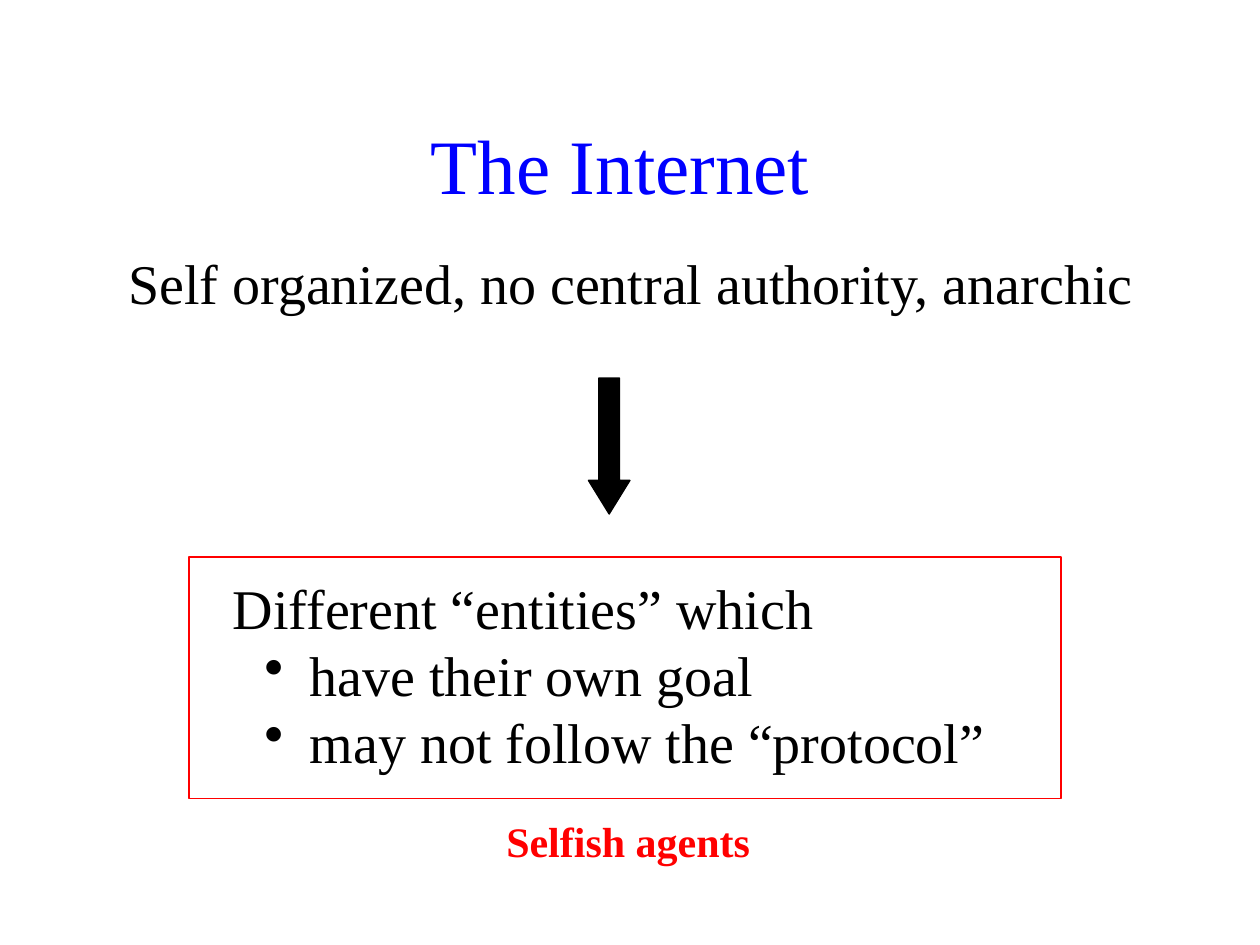
"""Build the slide on the Internet as a set of selfish agents."""
from lxml import etree
from pptx import Presentation
from pptx.dml.color import RGBColor
from pptx.enum.shapes import MSO_SHAPE
from pptx.enum.text import MSO_ANCHOR, PP_ALIGN
from pptx.oxml.ns import qn
from pptx.util import Inches, Pt

DOWN_ARROW, RECTANGLE = MSO_SHAPE.DOWN_ARROW, MSO_SHAPE.RECTANGLE
MIDDLE, CENTER = MSO_ANCHOR.MIDDLE, PP_ALIGN.CENTER
BLACK, RED, BLUE = "000000", "FF0000", "0000FF"


def rgb(value):
    return RGBColor.from_string(value)


def add_text(left, top, width, height, lines, size, color, wrap=True):
    frame = slide.shapes.add_textbox(
        Inches(left), Inches(top), Inches(width), Inches(height)).text_frame
    frame.word_wrap = wrap
    frame.text = "\n".join(lines)
    for paragraph in frame.paragraphs:
        paragraph.font.name = "Times New Roman"
        paragraph.font.size = Pt(size)
        paragraph.font.color.rgb = rgb(color)
    return frame


prs = Presentation()
prs.slide_width, prs.slide_height = Inches(10), Inches(7.5)
slide = prs.slides.add_slide(prs.slide_layouts[6])

title = add_text(0.75, 0.67, 8.5, 1.25, ["The Internet "], 44, BLUE)
title.vertical_anchor = MIDDLE
title.paragraphs[0].alignment = CENTER

add_text(0.92, 1.92, 8.5, 1.7,
         ["Self organized, no central authority, anarchic"], 32, BLACK)

arrow = slide.shapes.add_shape(
    DOWN_ARROW, Inches(4.67), Inches(3), Inches(0.33), Inches(1.08))
arrow.adjustments[0] = 0.5
arrow.adjustments[1] = 0.81
arrow.fill.solid()
arrow.fill.fore_color.rgb = rgb(BLACK)

entities = add_text(1.75, 4.5, 6.33, 1.7,
                    ["Different “entities” which", "have their own goal",
                     "may not follow the “protocol”"], 32, BLACK, wrap=False)
for trait in entities.paragraphs[1:]:
    properties = trait._p.get_or_add_pPr()
    properties.set("marL", str(Inches(0.61)))
    properties.set("indent", str(Inches(-0.36)))
    bullet = etree.Element(qn("a:buChar"), char="•")
    properties.insert(0, bullet)

frame_box = slide.shapes.add_shape(
    RECTANGLE, Inches(1.5), Inches(4.42), Inches(6.92), Inches(1.92))
frame_box.fill.background()

for shape, color in ((arrow, BLACK), (frame_box, RED)):
    shape.line.color.rgb = rgb(color)
    shape.line.width = Pt(0.75)
    shape.shadow.inherit = False

agents = add_text(3.92, 6.42, 2.14, 0.5, ["Selfish agents"], 24, RED, wrap=False)
agents.paragraphs[0].font.bold = True

prs.save("out.pptx")
